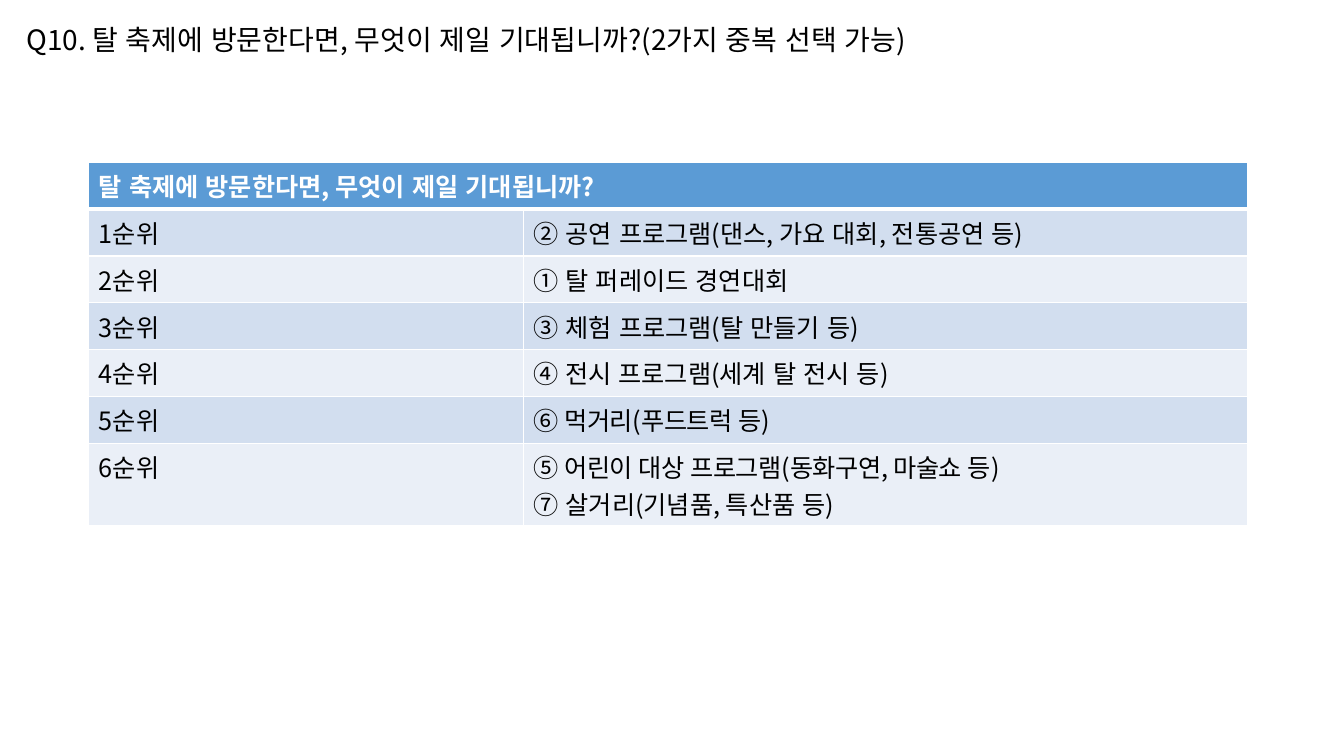
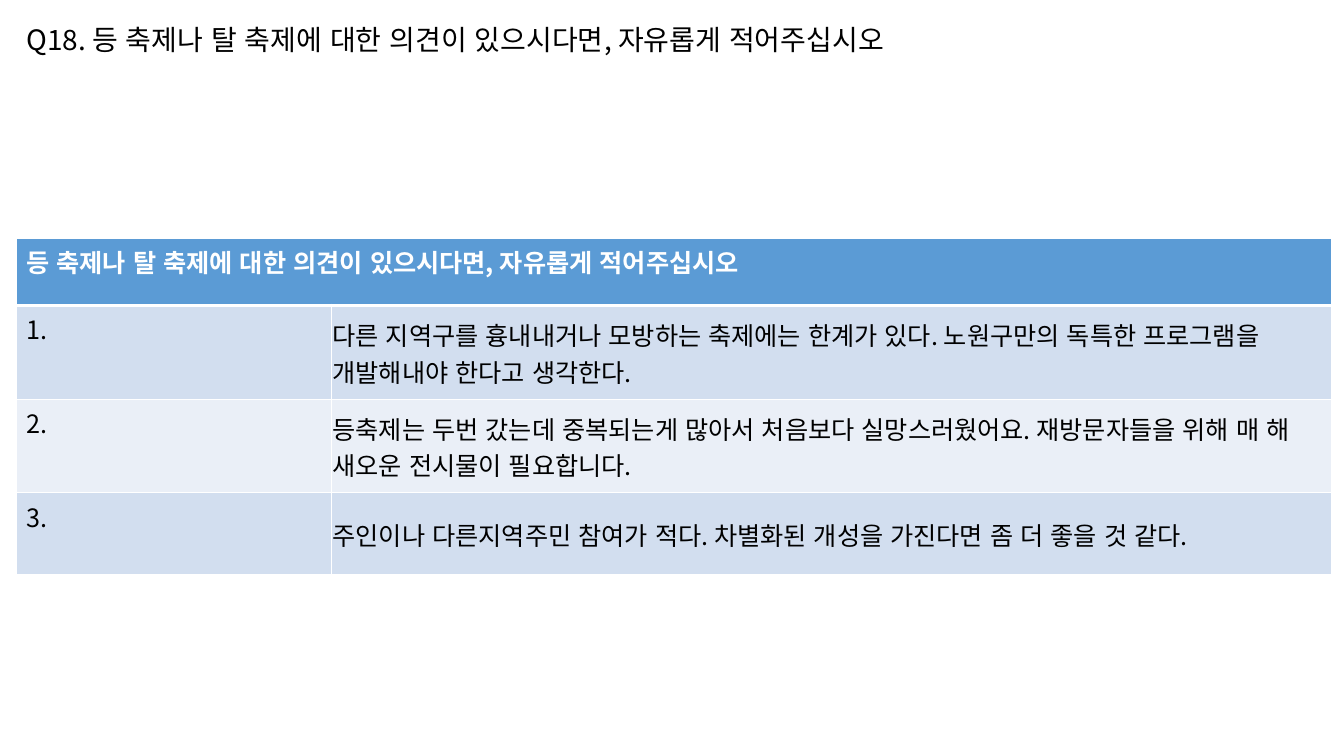
"""Builds two survey result slides, each with a question title and an answer table."""
from dataclasses import dataclass

from lxml import etree
from pptx import Presentation
from pptx.dml.color import RGBColor
from pptx.enum.lang import MSO_LANGUAGE_ID
from pptx.enum.text import MSO_ANCHOR, MSO_AUTO_SIZE, PP_ALIGN
from pptx.oxml.ns import qn
from pptx.util import Cm, Pt

TOP, MIDDLE = MSO_ANCHOR.TOP, MSO_ANCHOR.MIDDLE
GROW = MSO_AUTO_SIZE.SHAPE_TO_FIT_TEXT
LEFT = PP_ALIGN.LEFT
KOREAN = MSO_LANGUAGE_ID.KOREAN
TITLE_ONLY = 5


@dataclass(frozen=True)
class Theme:
    font: str = "Noto Sans CJK KR"
    title_size: int = 20
    table_size: int = 18
    ink: str = "000000"
    white: str = "FFFFFF"
    header: str = "5B9BD5"
    bands: tuple = ("D2DEEF", "EAEFF7")
    thin: int = 1
    thick: int = 3
    tight: int = -40


THEME = Theme()


def add_run(paragraph, text, size, color, bold=False, spacing=0):
    run = paragraph.add_run()
    run.text = text
    run.font.size = Pt(size)
    run.font.bold = bold
    run.font.language_id = KOREAN
    run.font.color.rgb = RGBColor.from_string(color)
    run.font.name = THEME.font
    properties = run.font._element
    etree.SubElement(properties, qn("a:ea")).set("typeface", THEME.font)
    if spacing:
        properties.set("spc", str(spacing))


def style_cell(cell, fill, bottom_width):
    properties = cell._tc.get_or_add_tcPr()
    for side in "LRTB":
        width = bottom_width if side == "B" else THEME.thin
        border = etree.SubElement(properties, qn(f"a:ln{side}"), w=str(Pt(width)))
        paint = etree.SubElement(border, qn("a:solidFill"))
        etree.SubElement(paint, qn("a:srgbClr"), val=THEME.white)
    cell.fill.solid()
    cell.fill.fore_color.rgb = RGBColor.from_string(fill)


QUESTIONS = [
    {
        "title": "Q10. 탈 축제에 방문한다면, 무엇이 제일 기대됩니까?(2가지 중복 선택 가능)",
        "title_width": 24.79,
        "heading": "탈 축제에 방문한다면, 무엇이 제일 기대됩니까?",
        "origin": (2.24, 4.09),
        "columns": (10.95, 18.26),
        "rows": (1.18,) * 6 + (2.08,),
        "centred": False,
        "answers": [
            ("1순위", [[("② 공연 프로그램(댄스, 가요 대회, 전통공연 등)", 0)]]),
            ("2순위", [[("① 탈 퍼레이드 경연대회", 0)]]),
            ("3순위", [[("③ 체험 프로그램(탈 만들기 등)", 0)]]),
            ("4순위", [[("④ ", THEME.tight), ("전시 프로그램(세계 탈 전시 등)", 0)]]),
            ("5순위", [[("⑥ 먹거리(푸드트럭 등)", THEME.tight)]]),
            ("6순위", [[("⑤ 어린이 대상 프로그램(동화구연, 마술쇼 등)", THEME.tight)],
                     [("⑦ 살거리(기념품, 특산품 등)", 0)]]),
        ],
    },
    {
        "title": "Q18. 등 축제나 탈 축제에 대한 의견이 있으시다면, 자유롭게 적어주십시오",
        "title_width": 24.36,
        "heading": "등 축제나 탈 축제에 대한 의견이 있으시다면, 자유롭게 적어주십시오",
        "origin": (0.41, 6),
        "columns": (7.95, 25.19),
        "rows": (1.7, 2.36, 2.36, 2.06),
        "centred": True,
        "answers": [
            ("1.", [[("다른 지역구를 흉내내거나 모방하는 축제에는 한계가 있다. 노원구만의 독특한 프로그램을 "
                      "개발해내야 한다고 생각한다.", 0)]]),
            ("2.", [[("등축제는 두번 갔는데 중복되는게 많아서 처음보다 실망스러웠어요. 재방문자들을 위해 매 해 "
                      "새오운 전시물이 필요합니다.", 0)]]),
            ("3.", [[("주인이나 다른지역주민 참여가 적다. 차별화된 개성을 가진다면 좀 더 좋을 것 같다.", 0)]]),
        ],
    },
]

deck = Presentation()
deck.slide_width, deck.slide_height = Cm(33.87), Cm(19.05)

for question in QUESTIONS:
    slide = deck.slides.add_slide(deck.slide_layouts[TITLE_ONLY])

    title = slide.shapes.title
    title.left, title.top = Cm(0.41), Cm(0.43)
    title.width, title.height = Cm(question["title_width"]), Cm(1.12)
    title.text_frame.word_wrap = False
    title.text_frame.auto_size = GROW
    title.text_frame.vertical_anchor = TOP
    title_line = title.text_frame.paragraphs[0]
    title_line.alignment = LEFT
    add_run(title_line, question["title"], THEME.title_size, THEME.ink)

    columns, rows = question["columns"], question["rows"]
    left, top = question["origin"]
    answers = slide.shapes.add_table(
        len(rows), len(columns), Cm(left), Cm(top), Cm(sum(columns)), Cm(sum(rows))
    ).table
    for column, width in zip(answers.columns, columns):
        column.width = Cm(width)
    for row, height in zip(answers.rows, rows):
        row.height = Cm(height)

    for heading_cell in answers.rows[0].cells:
        style_cell(heading_cell, THEME.header, THEME.thick)
    heading = answers.cell(0, 0)
    heading.merge(answers.cell(0, 1))
    add_run(heading.text_frame.paragraphs[0], question["heading"],
            THEME.table_size, THEME.white, bold=True)

    for index, (rank, lines) in enumerate(question["answers"]):
        for column, content in enumerate(([[(rank, 0)]], lines)):
            cell = answers.cell(index + 1, column)
            style_cell(cell, THEME.bands[index % 2], THEME.thin)
            if column == 1 and question["centred"]:
                cell.vertical_anchor = MIDDLE
                cell.margin_left = cell.margin_right = cell.margin_top = Cm(0.02)
                cell.margin_bottom = 0
            frame = cell.text_frame
            for number, line in enumerate(content):
                paragraph = frame.add_paragraph() if number else frame.paragraphs[0]
                for text, spacing in line:
                    add_run(paragraph, text, THEME.table_size, THEME.ink, spacing=spacing)

deck.save("out.pptx")
